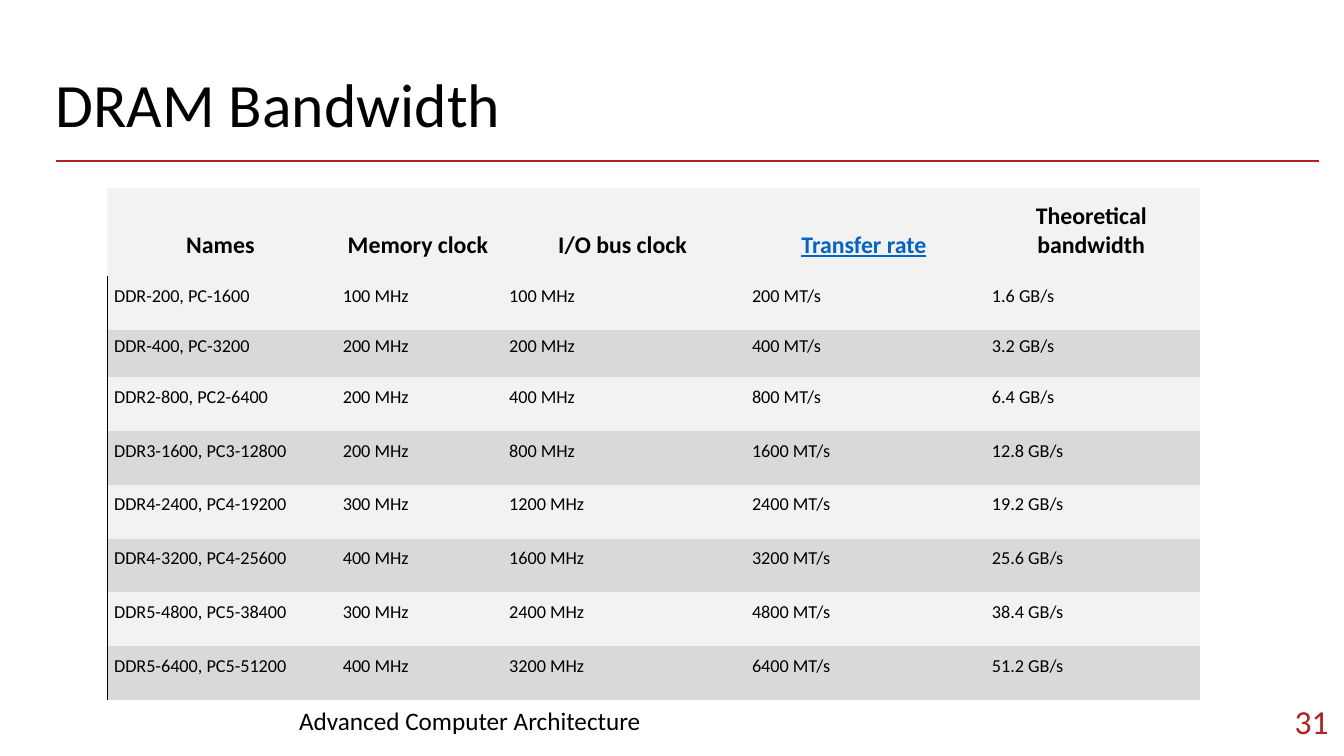
from pptx import Presentation
from pptx.dml.color import RGBColor
from pptx.enum.shapes import MSO_CONNECTOR as Link
from pptx.enum.text import MSO_ANCHOR as Anchor, PP_ALIGN as Align
from pptx.oxml import parse_xml
from pptx.oxml.ns import nsdecls
from pptx.util import Pt

BLACK, RED, BLUE = "000000", "B22222", "0563C1"
LIGHT, DARK = "F2F2F2", "D9D9D9"
PLAIN = "{2D5ABB26-0587-4C30-8999-92F81FD0307C}"

HEADS = ["Names", "Memory clock", "I/O bus clock", "Transfer rate", "Theoretical bandwidth"]
RATES = [
    ("DDR-200, PC-1600", "100 MHz", "100 MHz", "200 MT/s", "1.6 GB/s"),
    ("DDR-400, PC-3200", "200 MHz", "200 MHz", "400 MT/s", "3.2 GB/s"),
    ("DDR2-800, PC2-6400", "200 MHz", "400 MHz", "800 MT/s", "6.4 GB/s"),
    ("DDR3-1600, PC3-12800", "200 MHz", "800 MHz", "1600 MT/s", "12.8 GB/s"),
    ("DDR4-2400, PC4-19200", "300 MHz", "1200 MHz", "2400 MT/s", "19.2 GB/s"),
    ("DDR4-3200, PC4-25600", "400 MHz", "1600 MHz", "3200 MT/s", "25.6 GB/s"),
    ("DDR5-4800, PC5-38400", "300 MHz", "2400 MHz", "4800 MT/s", "38.4 GB/s"),
    ("DDR5-6400, PC5-51200", "400 MHz", "3200 MHz", "6400 MT/s", "51.2 GB/s"),
]
WIDTHS = [163.4, 118.8, 173.5, 171.4, 153.3]
HEIGHTS = [63.4, 38.4, 33.8] + [38.4] * 6


def paint(text):
    return RGBColor.from_string(text)


class Deck:
    font = "Calibri"

    def __init__(self):
        self.prs = Presentation()
        self.prs.slide_width, self.prs.slide_height = Pt(960), Pt(540)
        self.slide = self.prs.slides.add_slide(self.prs.slide_layouts[5])

    def run(self, frame, text, size, color=BLACK, bold=False, under=False, align=Align.LEFT):
        para = frame.paragraphs[0]
        para.alignment = align
        part = para.add_run()
        part.text = text
        font = part.font
        font.name, font.size, font.bold = self.font, Pt(size), bold
        font.underline = under
        font.color.rgb = paint(color)
        return para

    def inset(self, item, left, top, right, bottom):
        item.margin_left, item.margin_top = Pt(left), Pt(top)
        item.margin_right, item.margin_bottom = Pt(right), Pt(bottom)

    def title(self, text, box, size):
        head = self.slide.shapes.title
        head.left, head.top, head.width, head.height = map(Pt, box)
        frame = head.text_frame
        frame.word_wrap = True
        frame.vertical_anchor = Anchor.TOP
        self.inset(frame, 7.2, 7.2, 7.2, 7.2)
        self.run(frame, text, size).line_spacing = 0.9

    def text(self, text, box, size, color=BLACK, align=Align.LEFT, anchor=Anchor.TOP):
        frame = self.slide.shapes.add_textbox(*map(Pt, box)).text_frame
        frame.word_wrap = True
        frame.vertical_anchor = anchor
        self.inset(frame, 7.2, 3.6, 7.2, 3.6)
        self.run(frame, text, size, color, align=align)

    def line(self, ends, color, width):
        rule = self.slide.shapes.add_connector(Link.STRAIGHT, *map(Pt, ends))
        rule.line.color.rgb = paint(color)
        rule.line.width = Pt(width)
        rule._element.spPr.append(parse_xml(f"<a:effectLst {nsdecls('a')}/>"))

    def edge(self, cell, color, width):
        cell._tc.get_or_add_tcPr().insert(0, parse_xml(
            f'<a:lnL {nsdecls("a")} w="{Pt(width)}"><a:solidFill>'
            f'<a:srgbClr val="{color}"/></a:solidFill></a:lnL>'))

    def cell(self, cell, fill, anchor, text, size, **style):
        cell.fill.solid()
        cell.fill.fore_color.rgb = paint(fill)
        cell.vertical_anchor = anchor
        self.inset(cell, 5, 1.4, 6.5, 11.5)
        self.run(cell.text_frame, text, size, **style)

    def table(self, left, top):
        box = map(Pt, (left, top, sum(WIDTHS), sum(HEIGHTS)))
        grid = self.slide.shapes.add_table(len(HEIGHTS), len(WIDTHS), *box).table
        grid._tbl.tblPr[0].text = PLAIN
        grid.first_row = grid.horz_banding = False
        for col, width in zip(grid.columns, WIDTHS):
            col.width = Pt(width)
        for row, height in zip(grid.rows, HEIGHTS):
            row.height = Pt(height)
        for c, text in enumerate(HEADS):
            link = text == "Transfer rate"
            self.cell(grid.cell(0, c), LIGHT, Anchor.BOTTOM, text, 17, bold=True,
                      color=BLUE if link else BLACK, under=link, align=Align.CENTER)
        for r, rate in enumerate(RATES, 1):
            for c, text in enumerate(rate):
                self.cell(grid.cell(r, c), LIGHT if r % 2 else DARK, Anchor.MIDDLE, text, 13)
            self.edge(grid.cell(r, 0), BLACK, 0.5)


def main():
    deck = Deck()
    deck.line((40.3, 115.2, 942.5, 115.2), RED, 1.5)
    deck.title("DRAM Bandwidth", (32.4, 46.1, 894.2, 60.5), 44)
    deck.text("31", (883.4, 494.6, 72.7, 41), 24, RED, Align.RIGHT, Anchor.MIDDLE)
    deck.table(76.5, 134)
    deck.text("Advanced Computer Architecture", (206.6, 500.4, 435.6, 28.8), 18)
    deck.prs.save("out.pptx")


if __name__ == "__main__":
    main()
